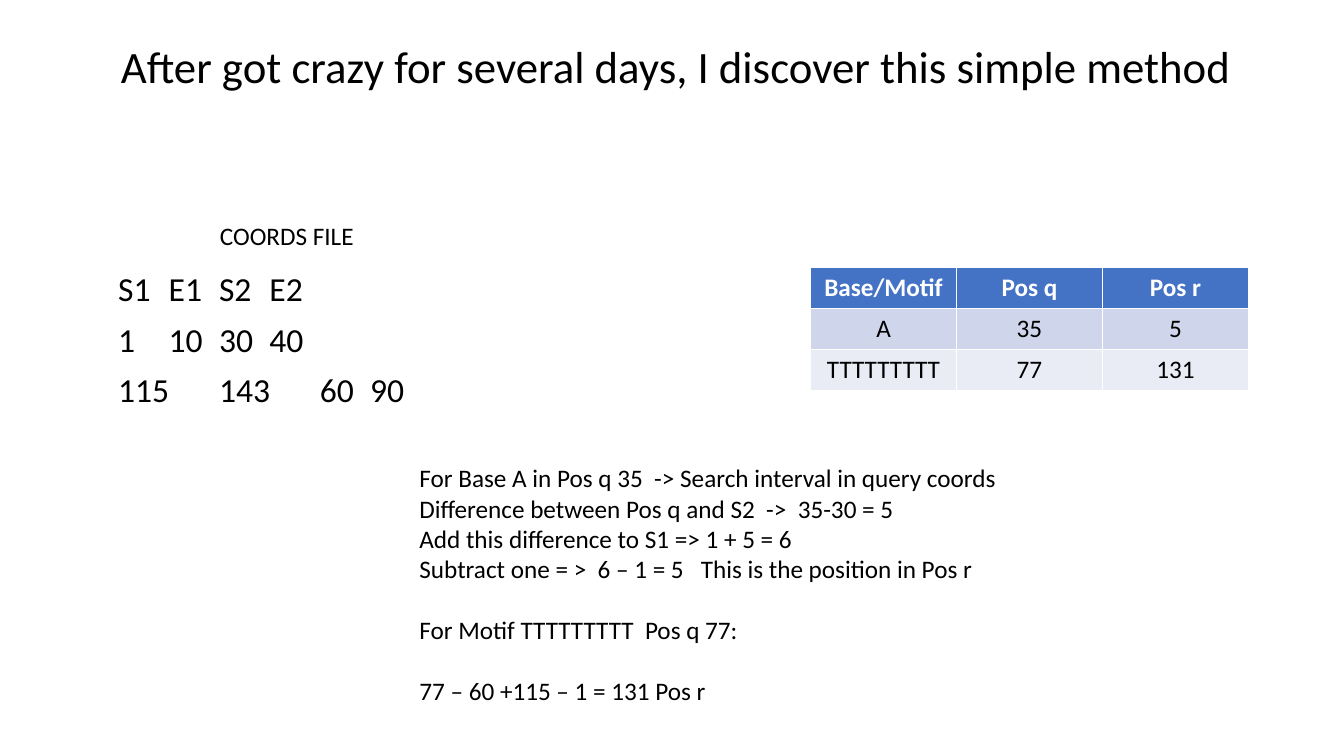
from pptx import Presentation
from pptx import util as u
from pptx.dml import color
from pptx.enum import text

PX = 9525
FONT = "Calibri"
COLORS = {
    "text": "000000",
    "header_text": "FFFFFF",
    "header": "4472C4",
    "band_dark": "CFD5EA",
    "band_light": "E9EBF5",
}
COORDS = [["S1", "E1", "S2", "E2"], ["1", "10", "30", "40"], ["115", "143", "60", "90"]]
POSITIONS = [["Base/Motif", "Pos q", "Pos r"], ["A", "35", "5"], ["TTTTTTTTT", "77", "131"]]
STEPS = [
    "For Base A in Pos q 35  -> Search interval in query coords",
    "Difference between Pos q and S2  ->  35-30 = 5",
    "Add this difference to S1 => 1 + 5 = 6",
    "Subtract one = >  6 – 1 = 5   This is the position in Pos r",
    "For Motif TTTTTTTTT  Pos q 77:",
    "77 – 60 +115 – 1 = 131 Pos r",
]
SPACED_STEPS = (4, 5)


def rgb(name):
    return color.RGBColor.from_string(COLORS[name])


def emu(box):
    return [u.Emu(length * PX) for length in box]


def place(shape, box):
    shape.left, shape.top, shape.width, shape.height = emu(box)


def format_text(text_frame, size, color_name="text", bold=False,
                align=text.PP_ALIGN.LEFT, spacing=1.0, before=0):
    text_frame.word_wrap = True
    for paragraph in text_frame.paragraphs:
        paragraph.alignment = align
        paragraph.line_spacing = spacing
        paragraph.space_before = u.Pt(before)
        for run in paragraph.runs:
            run.font.name = FONT
            run.font.size = u.Pt(size)
            run.font.bold = bold
            run.font.color.rgb = rgb(color_name)


def add_title(slide, box):
    title = slide.shapes.title
    place(title, box)
    frame = title.text_frame
    frame.text = "After got crazy for several days, I discover this simple method"
    frame.vertical_anchor = text.MSO_ANCHOR.BOTTOM
    frame.auto_size = text.MSO_AUTO_SIZE.NONE
    format_text(frame, 32, align=text.PP_ALIGN.CENTER, spacing=0.9)


def add_coords(slide, box):
    left, top, width, height = box
    body = slide.placeholders[1]
    place(body, box)
    frame = body.text_frame
    frame.text = "\n".join("\t".join(row) for row in COORDS)
    frame.vertical_anchor = text.MSO_ANCHOR.TOP
    frame.auto_size = text.MSO_AUTO_SIZE.NONE
    format_text(frame, 24, spacing=0.9, before=10)

    caption = slide.shapes.add_textbox(*emu((left + 97, top - 50, 372, 38)))
    caption.text_frame.text = "COORDS FILE"
    format_text(caption.text_frame, 18)


def add_positions(slide, box):
    rows, columns = len(POSITIONS), len(POSITIONS[0])
    table = slide.shapes.add_table(rows, columns, *emu(box)).table
    fills = ["header", "band_dark", "band_light"]
    for row_index, values in enumerate(POSITIONS):
        is_header = row_index == 0
        for column_index, value in enumerate(values):
            cell = table.cell(row_index, column_index)
            cell.text = value
            cell.fill.solid()
            cell.fill.fore_color.rgb = rgb(fills[row_index])
            format_text(cell.text_frame, 18, "header_text" if is_header else "text",
                        bold=is_header, align=text.PP_ALIGN.CENTER)


def add_steps(slide, box):
    frame = slide.shapes.add_textbox(*emu(box)).text_frame
    frame.text = "\n".join(STEPS)
    format_text(frame, 18)
    for index in SPACED_STEPS:
        frame.paragraphs[index].space_before = u.Pt(22)


def main():
    presentation = Presentation()
    presentation.slide_width, presentation.slide_height = emu((1280, 720))
    slide = presentation.slides.add_slide(presentation.slide_layouts[0])
    add_coords(slide, (103, 255, 363, 156))
    add_positions(slide, (772, 255, 417, 117))
    add_steps(slide, (390, 436, 589, 300))
    add_title(slide, (92, -45, 1104, 139))
    presentation.save("out.pptx")


if __name__ == "__main__":
    main()
